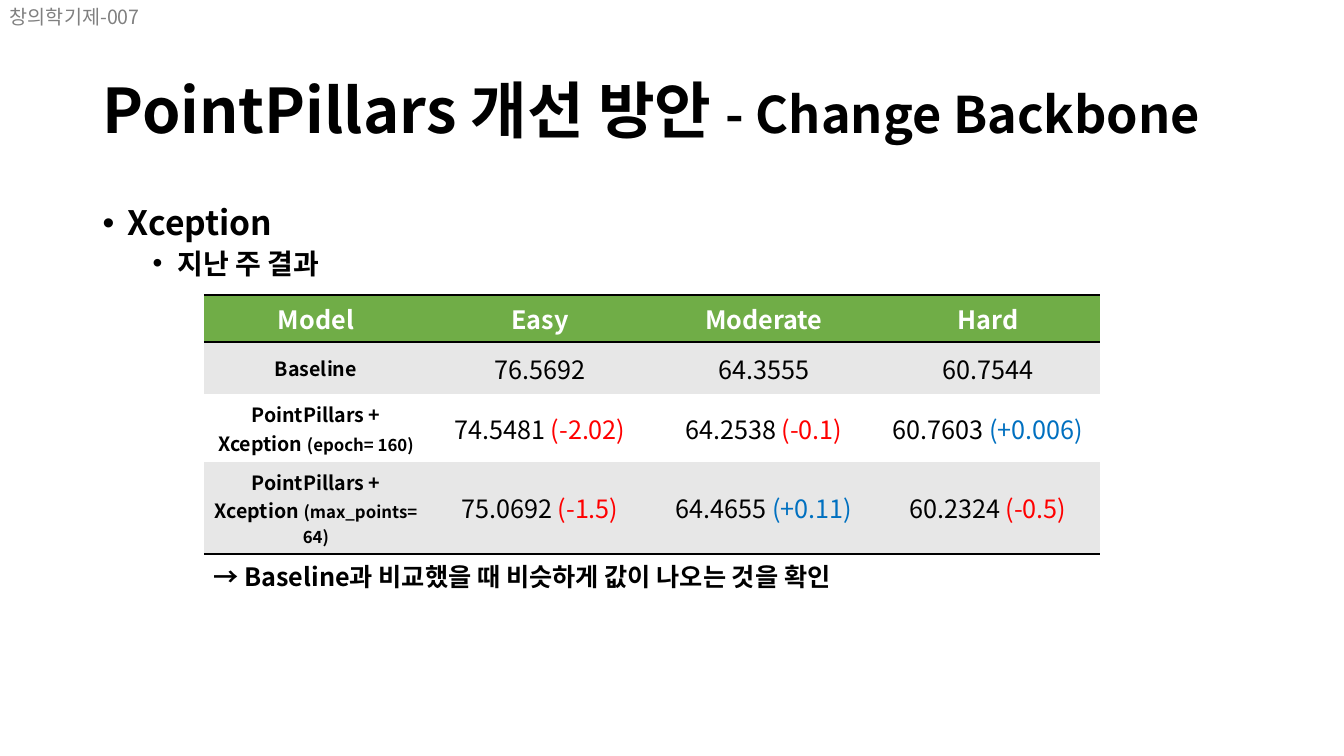
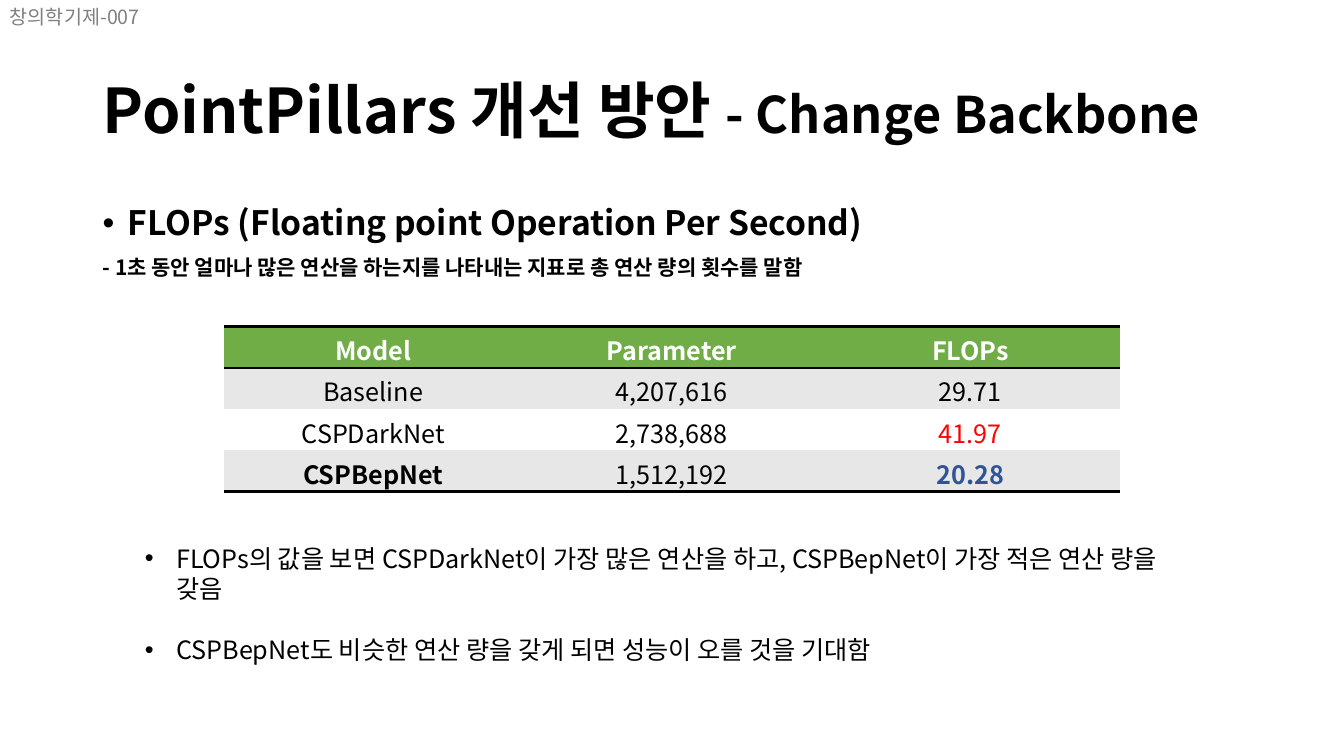
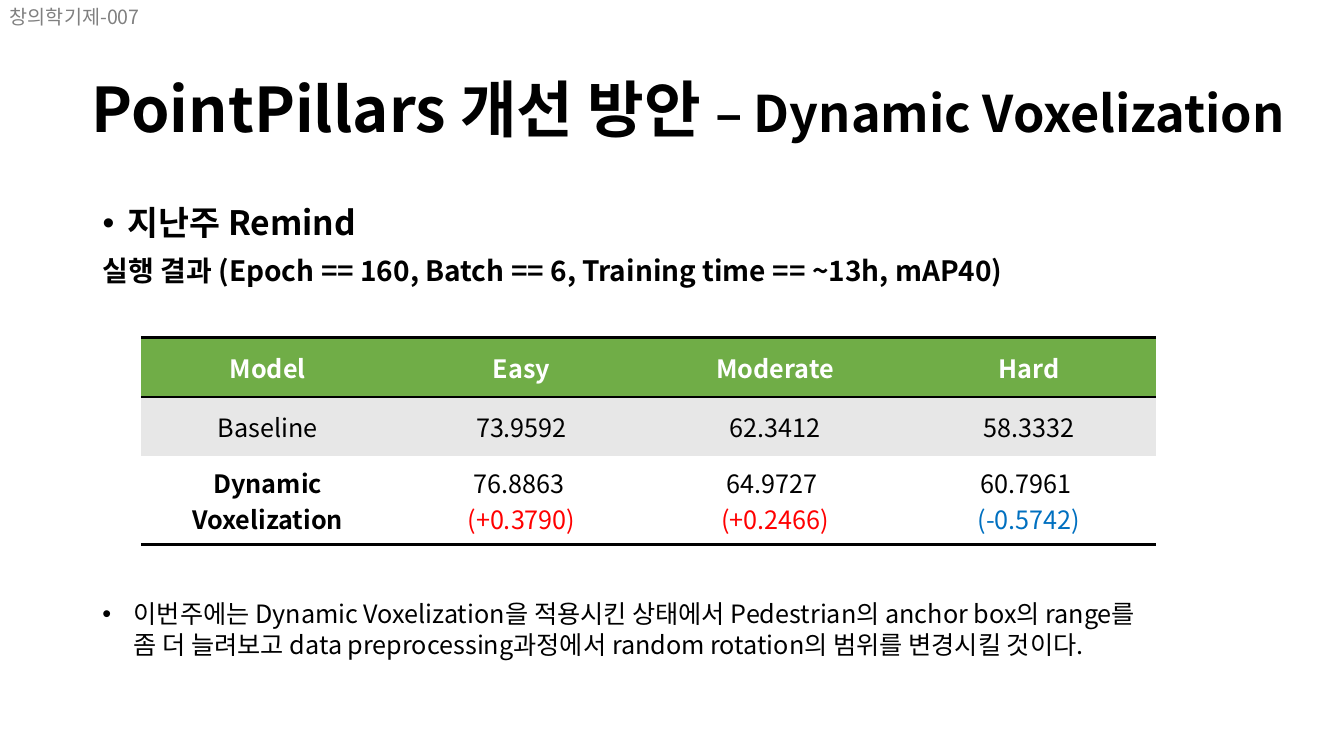
from lxml.etree import SubElement
from pptx import Presentation
from pptx.dml.color import RGBColor
from pptx.enum.text import MSO_ANCHOR, MSO_AUTO_SIZE, PP_ALIGN
from pptx.oxml.ns import qn
from pptx.util import Cm, Pt

FONT = "Noto Sans CJK KR"
BLACK, WHITE, GRAY = "000000", "FFFFFF", "808080"
GREEN, BAND = "70AD47", "E7E7E7"
RED, BLUE, NAVY = "FF0000", "0070C0", "2F5597"
DENSE = 0.9
TITLE = (2.33, 1.02, 29.21, 3.68)
BODY = (2.33, 5.08, 29.21, 12.09)
LABEL = (0, 0, 4.34, 0.86)


def paint(target, color):
    """Give a fill or a font one solid colour."""
    target.solid()
    target.fore_color.rgb = RGBColor.from_string(color)


def write(frame, text, size=18, color=BLACK, bold=False, join=False, line=1.0,
          before=0, align=PP_ALIGN.LEFT, bullet=False, left=0, hang=0, level=0):
    """Write one run, in a new paragraph unless it joins the last one."""
    para = frame.paragraphs[-1]
    if not join:
        if para.runs:
            para = frame.add_paragraph()
        props = para._p.get_or_add_pPr()
        props.set("marL", str(Cm(left)))
        props.set("indent", str(-Cm(hang)))
        if bullet:
            SubElement(props, qn("a:buFont")).set("typeface", "Arial")
            SubElement(props, qn("a:buChar")).set("char", "•")
        else:
            SubElement(props, qn("a:buNone"))
        para.level, para.alignment = level, align
        para.line_spacing, para.space_before = line, Pt(before)
    run = para.add_run()
    run.text = text
    font = run.font
    font.name, font.size, font.bold = FONT, Pt(size), bold
    paint(font.fill, color)
    SubElement(font._element, qn("a:ea")).set("typeface", FONT)


def place(shape, box):
    """Move a shape to a box in centimetres and return its text frame."""
    shape.left, shape.top, shape.width, shape.height = map(Cm, box)
    frame = shape.text_frame
    frame.word_wrap, frame.auto_size = True, MSO_AUTO_SIZE.NONE
    return frame


def add_text(slide, box):
    """Add a wrapping text box."""
    return place(slide.shapes.add_textbox(0, 0, 0, 0), box)


def add_slide(deck, topic, head, box=TITLE):
    """Add a slide with label, title and heading; return it and its body."""
    slide = deck.slides.add_slide(deck.slide_layouts[1])
    title = place(slide.shapes.title, box)
    title.vertical_anchor = MSO_ANCHOR.MIDDLE
    write(title, "PointPillars 개선 방안 ", size=44, bold=True, line=DENSE)
    write(title, topic, size=36, bold=True, join=True)
    write(add_text(slide, LABEL), "창의학기제-007", size=14, color=GRAY)
    body = place(slide.placeholders[1], BODY)
    body.vertical_anchor = MSO_ANCHOR.TOP
    write(body, head, size=24, bold=True, line=DENSE, bullet=True,
          left=0.64, hang=0.64)
    return slide, body


def add_list(slide, box, items):
    """Add a bulleted list with one line of space between items."""
    frame = add_text(slide, box)
    for num, item in enumerate(items):
        write(frame, item, bullet=True, left=0.79, hang=0.79,
              before=22 if num else 0)


def rule(cell, edges):
    """Draw black rules on the given edges and clear the others."""
    props = cell._tc.get_or_add_tcPr()
    for spot, edge in enumerate("LRTB"):
        line = props.makeelement(qn("a:ln" + edge), {"w": str(Pt(2))})
        props.insert(spot, line)
        if edge in edges:
            fill = SubElement(line, qn("a:solidFill"))
            SubElement(fill, qn("a:srgbClr")).set("val", BLACK)
        else:
            SubElement(line, qn("a:noFill"))


def add_grid(slide, left, top, width, highs, rows, pads=(0.13, 0.13)):
    """Add a banded table; a cell is a string or a list of (text, format)."""
    count = len(rows[0])
    grid = slide.shapes.add_table(len(rows), count, Cm(left), Cm(top),
                                  Cm(width), Cm(sum(highs))).table
    grid.first_row = grid.horz_banding = False
    for r, row in enumerate(rows):
        grid.rows[r].height = Cm(highs[r])
        edges = ("T" if r < 2 else "") + ("B" if r in (0, len(rows) - 1) else "")
        for c, runs in enumerate(row):
            cell = grid.cell(r, c)
            cell.vertical_anchor = MSO_ANCHOR.MIDDLE
            cell.margin_top, cell.margin_bottom = map(Cm, pads)
            paint(cell.fill, GREEN if r == 0 else BAND if r % 2 else WHITE)
            rule(cell, edges)
            base = {"color": WHITE, "bold": True} if r == 0 else {}
            for text, form in [(runs, {})] if isinstance(runs, str) else runs:
                write(cell.text_frame, text, align=PP_ALIGN.CENTER,
                      **{**base, **form})


def delta(value, change, color, join=True):
    """Return a cell with a value and its coloured change."""
    return [(value + " ", {}), (f"({change})", {"color": color, "join": join})]


def model(name, note=""):
    """Return a small bold model name with an optional smaller note."""
    cell = [(name, {"size": 14, "bold": True})]
    if note:
        cell.append((note, {"size": 12, "bold": True, "join": True}))
    return cell


def add_past(deck):
    """Build the slide on last week's backbone results."""
    slide, body = add_slide(deck, "- Change Backbone", "Xception")
    write(body, "지난 주 결과", size=20, bold=True, line=DENSE, before=5,
          bullet=True, left=1.9, hang=0.64, level=1)
    name = "PointPillars + Xception "
    add_grid(slide, 5.14, 7.44, 22.58, (0.94, 1.32, 1.32, 1.73), [
        ["Model", "Easy", "Moderate", "Hard"],
        [model("Baseline"), "76.5692", "64.3555", "60.7544"],
        [model(name, "(epoch= 160)"), delta("74.5481", "-2.02", RED),
         delta("64.2538", "-0.1", RED), delta("60.7603", "+0.006", BLUE)],
        [model(name, "(max_points= 64)"), delta("75.0692", "-1.5", RED),
         delta("64.4655", "+0.11", BLUE), delta("60.2324", "-0.5", RED)],
    ])
    write(add_text(slide, (5.13, 14.02, 24, 1.02)),
          "→ Baseline과 비교했을 때 비슷하게 값이 나오는 것을 확인",
          bold=True)


def add_flops(deck):
    """Build the slide comparing operation counts."""
    slide, body = add_slide(deck, "- Change Backbone",
                            "FLOPs (Floating point Operation Per Second)")
    write(body, "- 1초 동안 얼마나 많은 연산을 하는지를 나타내는 지표로 "
          "총 연산 량의 횟수를 말함", size=15, bold=True, line=DENSE, before=10)
    add_list(slide, (3.4, 13.56, 26.57, 3.33), [
        "FLOPs의 값을 보면 CSPDarkNet이 가장 많은 연산을 하고, "
        "CSPBepNet이 가장 적은 연산 량을 갖음",
        "CSPBepNet도 비슷한 연산 량을 갖게 되면 성능이 오를 것을 기대함",
    ])
    add_grid(slide, 5.64, 8.23, 22.58, (1.03,) * 4, [
        ["Model", "Parameter", "FLOPs"],
        ["Baseline", "4,207,616", "29.71"],
        ["CSPDarkNet", "2,738,688", [("41.97", {"color": RED})]],
        [[("CSPBepNet", {"bold": True})], "1,512,192",
         [("20.28", {"color": NAVY, "bold": True})]],
    ], pads=(0.12, 0))


def add_voxel(deck):
    """Build the slide on dynamic voxelization."""
    slide, body = add_slide(deck, "– Dynamic Voxelization", "지난주 Remind",
                            (2.06, 0.99, 30.68, 3.68))
    write(body, "실행 결과 (Epoch == 160, Batch == 6, "
          "Training time == ~13h, mAP40)", size=20, bold=True, line=DENSE,
          before=10)
    add_grid(slide, 3.55, 8.51, 25.58, (1.49, 1.49, 2.23), [
        ["Model", "Easy", "Moderate", "Hard"],
        ["Baseline", "73.9592", "62.3412", "58.3332"],
        [[(word, {"bold": True}) for word in ("Dynamic", "Voxelization")],
         delta("76.8863", "+0.3790", RED, join=False),
         delta("64.9727", "+0.2466", RED, join=False),
         delta("60.7961", "-0.5742", BLUE, join=False)],
    ])
    add_list(slide, (2.33, 14.96, 26.8, 2.57), [
        "이번주에는 Dynamic Voxelization을 적용시킨 상태에서 Pedestrian의 "
        "anchor box의 range를 좀 더 늘려보고 data preprocessing과정에서 "
        "random rotation의 범위를 변경시킬 것이다.",
    ])


def main():
    """Build and save the deck."""
    deck = Presentation()
    deck.slide_width, deck.slide_height = Cm(33.87), Cm(19.05)
    add_past(deck)
    add_flops(deck)
    add_voxel(deck)
    deck.save("out.pptx")


if __name__ == "__main__":
    main()
